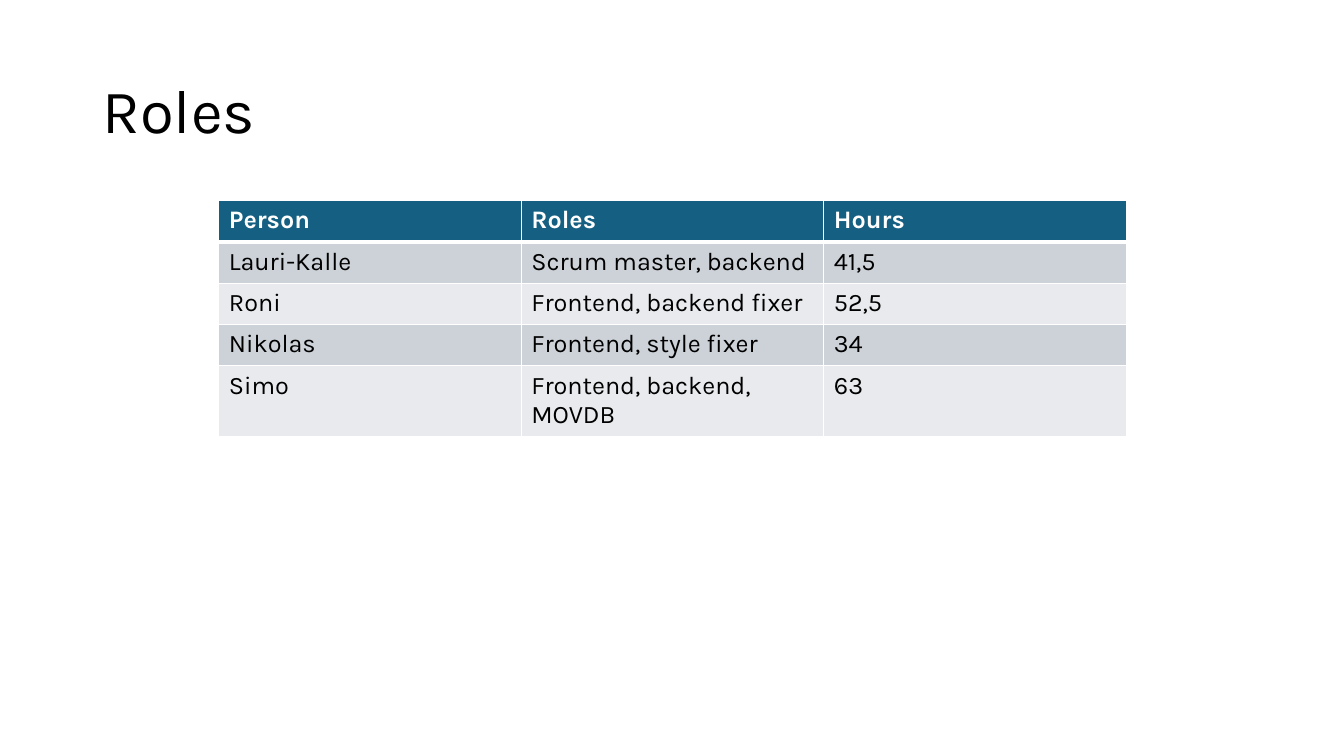
import pptx
import pptx.util
import pptx.dml.color
import pptx.enum.text
import pptx.oxml
import pptx.oxml.ns

# Content
TITLE = "Roles"
ROWS = [
    ("Person", "Roles", "Hours"),
    ("Lauri-Kalle", "Scrum master, backend", "41,5"),
    ("Roni", "Frontend, backend fixer", "52,5"),
    ("Nikolas", "Frontend, style fixer", "34"),
    ("Simo", "Frontend, backend, MOVDB", "63"),
]
FONT = "Karla"
HEAD, BANDS = "156082", ("E8EAED", "CCD2D8")
WHITE, BLACK = "FFFFFF", "000000"
WIDE, HIGH = 13.33, 7.5
LEFT, TOP = 2.17, 1.99
COL, ROW = 3, 0.41
inch = pptx.util.Inches


def color(code):
    return pptx.dml.color.RGBColor.from_string(code)


def write(frame, text, size, code, bold=False):
    run = frame.paragraphs[0].add_run()
    run.text = text
    font = run.font
    font.name, font.size, font.bold = FONT, pptx.util.Pt(size), bold
    font.color.rgb = color(code)


def border(cell, side, width):
    # Border lines must come before the cell's fill
    line = pptx.oxml.parse_xml(
        f'<a:{side} {pptx.oxml.ns.nsdecls("a")} w="{pptx.util.Pt(width)}">'
        f'<a:solidFill><a:srgbClr val="{WHITE}"/></a:solidFill></a:{side}>')
    cell._tc.get_or_add_tcPr().append(line)


deck = pptx.Presentation()
deck.slide_width, deck.slide_height = inch(WIDE), inch(HIGH)
slide = deck.slides.add_slide(deck.slide_layouts[6])

# Title
box = slide.shapes.add_textbox(inch(0.92), inch(0.4), inch(11.5), inch(1.45))
frame = box.text_frame
frame.word_wrap = True
frame.vertical_anchor = pptx.enum.text.MSO_ANCHOR.MIDDLE
frame.paragraphs[0].line_spacing = 0.9
write(frame, TITLE, 44, BLACK)

# Table of roles
count, cols = len(ROWS), len(ROWS[0])
table = slide.shapes.add_table(
    count, cols, inch(LEFT), inch(TOP), inch(COL * cols), inch(ROW * count)).table
for r, row in enumerate(ROWS):
    top = r == 0
    for c, text in enumerate(row):
        cell = table.cell(r, c)
        for side in ("lnL", "lnR", "lnT", "lnB"):
            thick = (top and side == "lnB") or (r == 1 and side == "lnT")
            border(cell, side, 3 if thick else 1)
        cell.fill.solid()
        cell.fill.fore_color.rgb = color(HEAD if top else BANDS[r % 2])
        write(cell.text_frame, text, 18, WHITE if top else BLACK, top)

deck.save("out.pptx")
